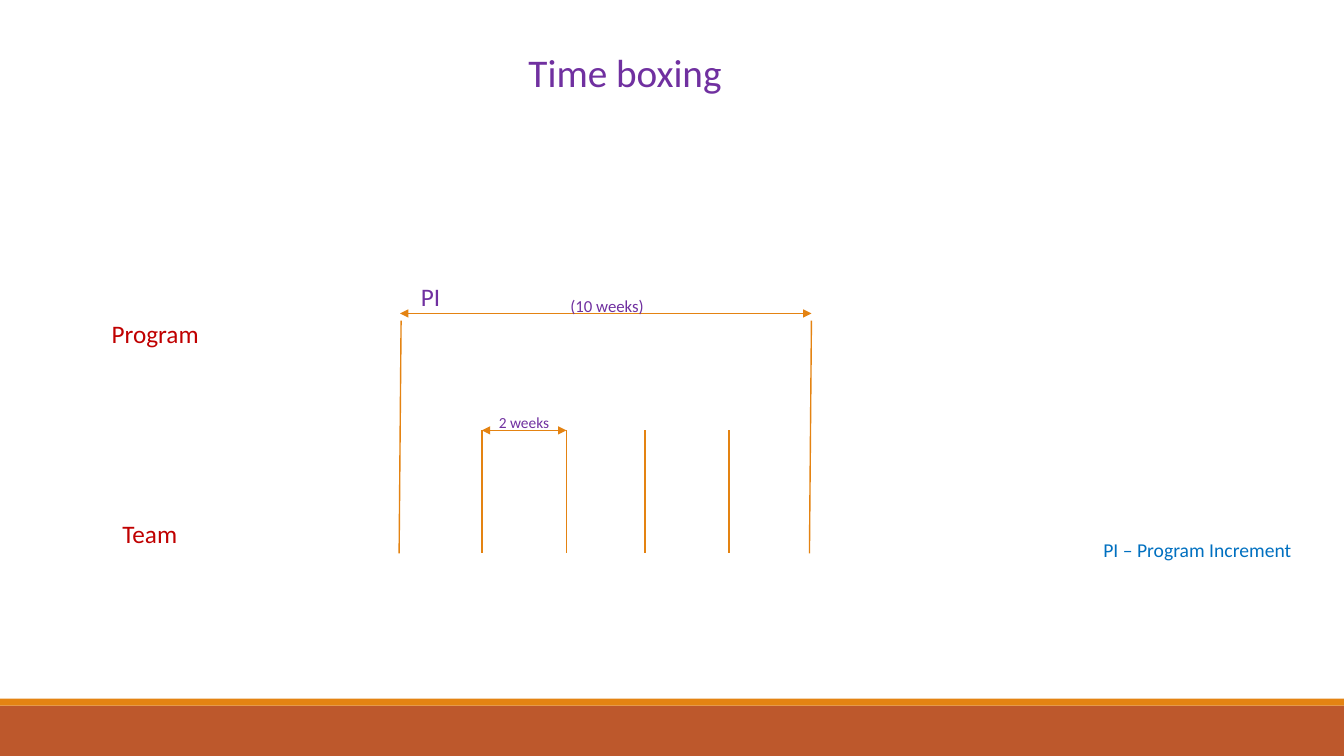
from dataclasses import dataclass

from lxml.etree import SubElement
from pptx import Presentation
from pptx.dml.color import RGBColor
from pptx.enum.shapes import MSO_CONNECTOR as Connector, MSO_SHAPE as Preset
from pptx.enum.text import MSO_AUTO_SIZE as AutoSize, PP_ALIGN as Align
from pptx.oxml.ns import qn
from pptx.slide import Slide
from pptx.util import Pt

ORANGE = RGBColor(0xE4, 0x83, 0x12)
RUST = RGBColor(0xBD, 0x58, 0x2C)
RED = RGBColor(0xC0, 0x00, 0x00)
PURPLE = RGBColor(0x70, 0x30, 0xA0)
BLUE = RGBColor(0x00, 0x70, 0xC0)
FONT = "Calibri"

SLIDE_WIDTH, SLIDE_HEIGHT = 960, 540
PI_TOP, SPRINT_TOP, TIMELINE_BOTTOM = 229, 307.4, 395.3
PI_SPAN_Y = 223.9
PI_STARTS = (286.5, 579.6)
PI_SLANT = 1.4
SPRINT_STARTS = (344.2, 404.6, 460.8, 520.6)


@dataclass(frozen=True)
class Band:
    top: float
    height: float
    color: RGBColor


@dataclass(frozen=True)
class Label:
    text: str
    left: float
    top: float
    width: float
    height: float
    size: float
    color: RGBColor
    wrap: bool = True
    align: Align = Align.LEFT


@dataclass(frozen=True)
class Line:
    x1: float
    y1: float
    x2: float
    y2: float
    arrows: bool = False


BANDS = [Band(504, 36, RUST), Band(499, 5, ORANGE)]

LINES = [
    *(Line(x, PI_TOP, x - PI_SLANT, TIMELINE_BOTTOM) for x in PI_STARTS),
    *(Line(x, SPRINT_TOP, x, TIMELINE_BOTTOM) for x in SPRINT_STARTS),
    Line(PI_STARTS[0] - 0.7, PI_SPAN_Y, PI_STARTS[1], PI_SPAN_Y, arrows=True),
    Line(SPRINT_STARTS[0], SPRINT_TOP, SPRINT_STARTS[1], SPRINT_TOP, arrows=True),
]

LABELS = [
    Label("Program", 72.7, 223.9, 85.7, 29, 18, RED),
    Label("Team", 80.4, 366.5, 70, 29, 18, RED),
    Label("(10 weeks)", 400.3, 207.4, 67.7, 21.8, 12, PURPLE),
    Label("PI", 293.6, 197.3, 29, 29, 18, PURPLE),
    Label("2 weeks", 349.2, 291.6, 51.1, 20.6, 11, PURPLE, wrap=False),
    Label("PI – Program Increment", 781, 381, 149.8, 24.2, 14, BLUE, wrap=False),
    Label("Time boxing", 369.4, 31, 154.1, 41.2, 28, PURPLE, wrap=False, align=Align.CENTER),
]


def draw_band(slide: Slide, band: Band) -> None:
    bar = slide.shapes.add_shape(
        Preset.RECTANGLE, Pt(0), Pt(band.top), Pt(SLIDE_WIDTH), Pt(band.height)
    )
    bar.shadow.inherit = False
    bar.fill.solid()
    bar.fill.fore_color.rgb = band.color
    bar.line.fill.background()


def draw_line(slide: Slide, line: Line) -> None:
    connector = slide.shapes.add_connector(
        Connector.STRAIGHT, Pt(line.x1), Pt(line.y1), Pt(line.x2), Pt(line.y2)
    )
    connector.line.color.rgb = ORANGE
    connector.line.width = Pt(1)
    if line.arrows:
        outline = connector.line._get_or_add_ln()
        for end in ("a:headEnd", "a:tailEnd"):
            SubElement(outline, qn(end), type="triangle")
    SubElement(connector._element.spPr, qn("a:effectLst"))


def draw_label(slide: Slide, label: Label) -> None:
    box = slide.shapes.add_textbox(
        Pt(label.left), Pt(label.top), Pt(label.width), Pt(label.height)
    )
    frame = box.text_frame
    frame.text = label.text
    frame.word_wrap = label.wrap
    frame.auto_size = AutoSize.SHAPE_TO_FIT_TEXT
    paragraph = frame.paragraphs[0]
    paragraph.alignment = label.align
    font = paragraph.runs[0].font
    font.name = FONT
    font.size = Pt(label.size)
    font.color.rgb = label.color


def main() -> None:
    presentation = Presentation()
    presentation.slide_width = Pt(SLIDE_WIDTH)
    presentation.slide_height = Pt(SLIDE_HEIGHT)
    slide = presentation.slides.add_slide(presentation.slide_layouts[6])

    # Footer bands
    for band in BANDS:
        draw_band(slide, band)

    # Timeline: increment and sprint boundaries, then their spans
    for line in LINES:
        draw_line(slide, line)

    # Title, row names, durations and legend
    for label in LABELS:
        draw_label(slide, label)

    presentation.save("out.pptx")


if __name__ == "__main__":
    main()
